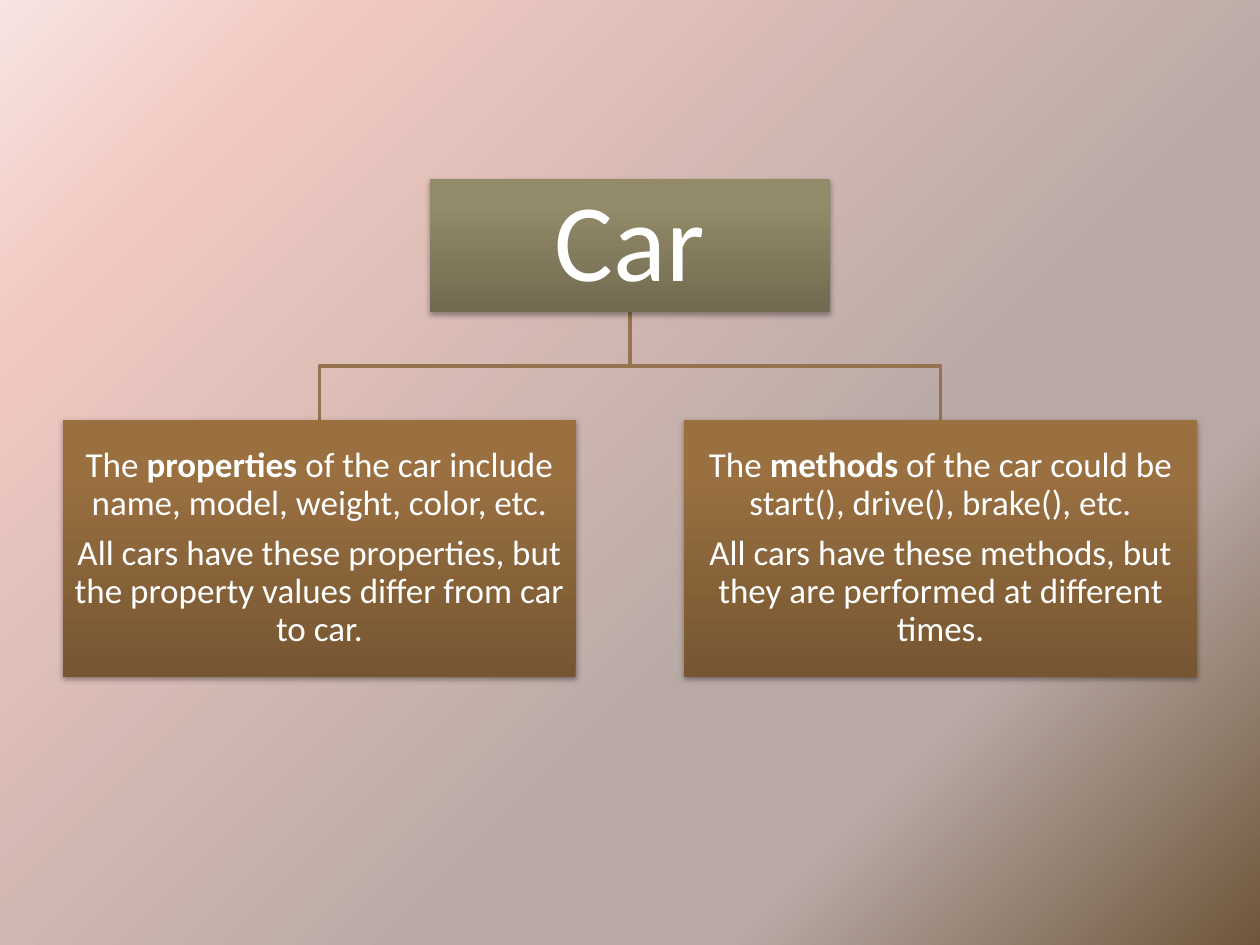
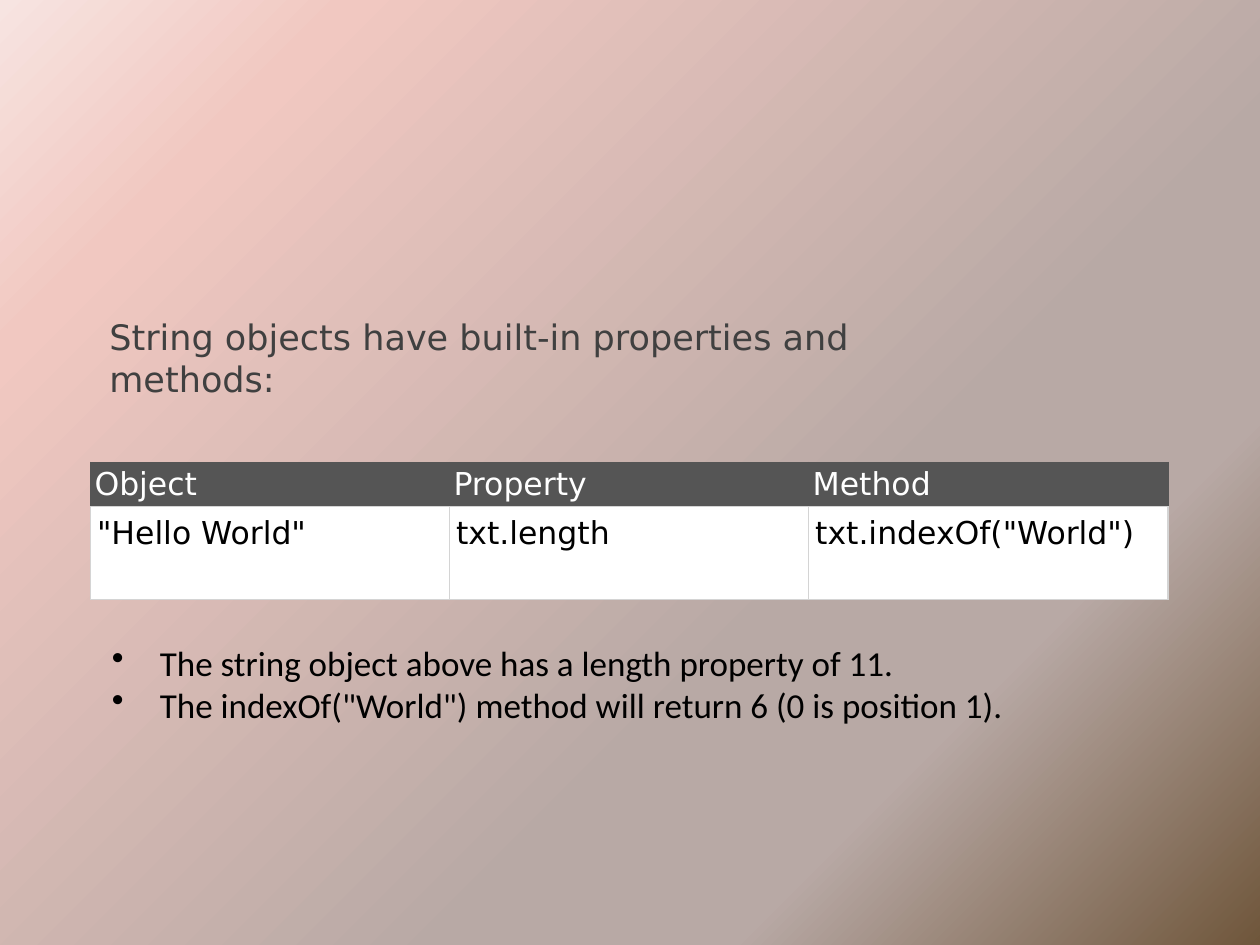
from lxml import etree
from pptx import Presentation
from pptx.dml import color
from pptx.enum import shapes, text
from pptx.oxml import ns
from pptx.util import Inches, Pt

BODY_FONT = "Calibri"
CODE_FONT = "DejaVu Sans"
WHITE, BLACK, GREY = "FFFFFF", "000000", "404040"
HEADER_FILL, CELL_LINE = "555555", "D4D4D4"
BRANCH_LINE = "94734E"
BACKGROUND = [(0, "655450"), (0, "6F563B"), (24, "B8A9A5"),
              (37, "B8A9A5"), (84, "F1C8C1"), (100, "F7E4E1")]
OLIVE = [(0, "716A50"), (80, "928A68"), (100, "948B67")]
BROWN = [(0, "765632"), (80, "9A7041"), (100, "9C7140")]

PROPERTIES = [
    [("The ", False), ("properties", True),
     (" of the car include name, model, weight, color, etc.", False)],
    [("All cars have these properties, but the property values differ "
      "from car to car.", False)],
]
METHODS = [
    [("The ", False), ("methods", True),
     (" of the car could be start(), drive(), brake(), etc.", False)],
    [("All cars have these methods, but they are performed at different "
      "times.", False)],
]
STRING_TABLE = [
    ["Object", "Property", "Method"],
    ['"Hello World"', "txt.length", 'txt.indexOf("World")'],
]
STRING_NOTES = [
    "The string object above has a length property of 11.",
    'The indexOf("World") method will return 6 (0 is position 1).',
]


def rgb(hex_string):
    return color.RGBColor.from_string(hex_string)


def add_element(parent, tag, **attributes):
    element = etree.SubElement(parent, ns.qn(tag))
    for name, value in attributes.items():
        element.set(name, str(value))
    return element


def set_gradient(fill, owner, stops, angle):
    """Fill with (percent, colour) stops; angle is clockwise degrees."""
    fill.gradient()
    gradient = owner.find(".//" + ns.qn("a:gradFill"))
    stop_list = gradient.find(ns.qn("a:gsLst"))
    for stop in list(stop_list):
        stop_list.remove(stop)
    for percent, hex_string in stops:
        stop = add_element(stop_list, "a:gs", pos=percent * 1000)
        add_element(stop, "a:srgbClr", val=hex_string)
    gradient.find(ns.qn("a:lin")).set("ang", str(angle * 60000))


def set_shadow(shape, opacity, distance):
    shape.shadow.inherit = False
    effects = shape._element.spPr.find(ns.qn("a:effectLst"))
    shadow = add_element(effects, "a:outerShdw", blurRad=Pt(3.1),
                         dist=Pt(distance), dir=90 * 60000, rotWithShape=0)
    shade = add_element(shadow, "a:srgbClr", val=BLACK)
    add_element(shade, "a:alpha", val=opacity * 1000)


def add_run(paragraph, words, size, font, hex_string, bold=False):
    run = paragraph.add_run()
    run.text = words
    run.font.size = Pt(size)
    run.font.name = font
    run.font.bold = bold
    run.font.color.rgb = rgb(hex_string)


def set_margins(holder, horizontal, vertical):
    holder.margin_left = holder.margin_right = Inches(horizontal)
    holder.margin_top = holder.margin_bottom = Inches(vertical)


def next_paragraph(frame, index):
    return frame.add_paragraph() if index else frame.paragraphs[0]


def add_node(slide, left, top, width, height, paragraphs, size, stops,
             margin, opacity, distance):
    node = slide.shapes.add_shape(
        shapes.MSO_SHAPE.RECTANGLE, Inches(left), Inches(top),
        Inches(width), Inches(height))
    set_gradient(node.fill, node._element.spPr, stops, 270)
    node.line.fill.background()
    set_shadow(node, opacity, distance)
    frame = node.text_frame
    frame.word_wrap = True
    frame.vertical_anchor = text.MSO_ANCHOR.MIDDLE
    set_margins(frame, margin, margin)
    for index, runs in enumerate(paragraphs):
        paragraph = next_paragraph(frame, index)
        paragraph.alignment = text.PP_ALIGN.CENTER
        paragraph.line_spacing = 0.9
        paragraph.space_after = Pt(round(size * 0.35))
        for words, bold in runs:
            add_run(paragraph, words, size, BODY_FONT, WHITE, bold)


def add_branch(slide, start_x, start_y, end_x, end_y):
    middle_y = (start_y + end_y) / 2
    corners = [(start_x, middle_y), (end_x, middle_y), (end_x, end_y)]
    builder = slide.shapes.build_freeform(Inches(start_x), Inches(start_y))
    builder.add_line_segments(
        [(Inches(x), Inches(y)) for x, y in corners], close=False)
    branch = builder.convert_to_shape()
    branch.fill.background()
    branch.line.color.rgb = rgb(BRANCH_LINE)
    branch.line.width = Pt(2)
    branch.shadow.inherit = False


def add_hierarchy(slide, left, top, width):
    root_width, root_height = 3.17, 1.06
    child_width, child_height = 4.07, 2.04
    center = left + width / 2
    root_bottom = top + root_height
    child_top = root_bottom + 0.85
    children = [(left, PROPERTIES), (left + width - child_width, METHODS)]
    for child_left, _ in reversed(children):
        add_branch(slide, center, root_bottom,
                   child_left + child_width / 2, child_top)
    add_node(slide, center - root_width / 2, top, root_width, root_height,
             [[("Car", False)]], 63, OLIVE, 0.04, 35, 1.8)
    for child_left, paragraphs in children:
        add_node(slide, child_left, child_top, child_width, child_height,
                 paragraphs, 20, BROWN, 0.01, 38, 1.6)


def set_borders(cell, left, right, top, bottom):
    properties = cell._tc.get_or_add_tcPr()
    sides = {"a:lnL": left, "a:lnR": right, "a:lnT": top, "a:lnB": bottom}
    for index, (tag, hex_string) in enumerate(sides.items()):
        line = add_element(properties, tag, w=Pt(0.75))
        fill = add_element(line, "a:solidFill")
        add_element(fill, "a:srgbClr", val=hex_string)
        properties.insert(index, line)


def add_string_table(slide, left, top, width):
    row_heights = [0.35, 0.74]
    frame = slide.shapes.add_table(
        len(STRING_TABLE), len(STRING_TABLE[0]), Inches(left), Inches(top),
        Inches(width), Inches(sum(row_heights)))
    table = frame.table
    table.horz_banding = False
    for row_index, words_in_row in enumerate(STRING_TABLE):
        table.rows[row_index].height = Inches(row_heights[row_index])
        header = row_index == 0
        side = HEADER_FILL if header else CELL_LINE
        for column_index, words in enumerate(words_in_row):
            cell = table.cell(row_index, column_index)
            set_margins(cell, *((0.03, 0.03) if header else (0.05, 0.07)))
            cell.fill.solid()
            cell.fill.fore_color.rgb = rgb(HEADER_FILL if header else WHITE)
            set_borders(cell, side, side, side, CELL_LINE)
            add_run(cell.text_frame.paragraphs[0], words, 18, CODE_FONT,
                    WHITE if header else BLACK)


def add_text_box(slide, left, top, width, lines, font, hex_string,
                 bulleted=False):
    box = slide.shapes.add_textbox(
        Inches(left), Inches(top), Inches(width), Inches(0.77))
    frame = box.text_frame
    frame.word_wrap = True
    frame.auto_size = text.MSO_AUTO_SIZE.SHAPE_TO_FIT_TEXT
    for index, words in enumerate(lines):
        paragraph = next_paragraph(frame, index)
        add_run(paragraph, words, 20, font, hex_string)
        if bulleted:
            properties = paragraph._p.get_or_add_pPr()
            properties.set("marL", str(Inches(0.38)))
            properties.set("indent", str(Inches(-0.38)))
            add_element(properties, "a:buChar", char="•")
    return box


def add_car_slide(presentation, layout):
    slide = presentation.slides.add_slide(layout)
    add_hierarchy(slide, 0.5, 1.42, 9)


def add_string_slide(presentation, layout):
    slide = presentation.slides.add_slide(layout)
    add_string_table(slide, 0.72, 3.67, 8.55)
    intro = add_text_box(
        slide, 0.77, 2.45, 7.4,
        ["String objects have built-in properties and methods:"],
        CODE_FONT, GREY)
    intro.text_frame.vertical_anchor = text.MSO_ANCHOR.MIDDLE
    add_text_box(slide, 0.79, 5.04, 7.65, STRING_NOTES, BODY_FONT, BLACK,
                 bulleted=True)


def main():
    presentation = Presentation()
    presentation.slide_width = Inches(10)
    presentation.slide_height = Inches(7.5)
    master = presentation.slide_master
    set_gradient(master.background.fill, master._element, BACKGROUND, 225)
    blank_layout = presentation.slide_layouts[6]
    add_car_slide(presentation, blank_layout)
    add_string_slide(presentation, blank_layout)
    presentation.save("out.pptx")


if __name__ == "__main__":
    main()
